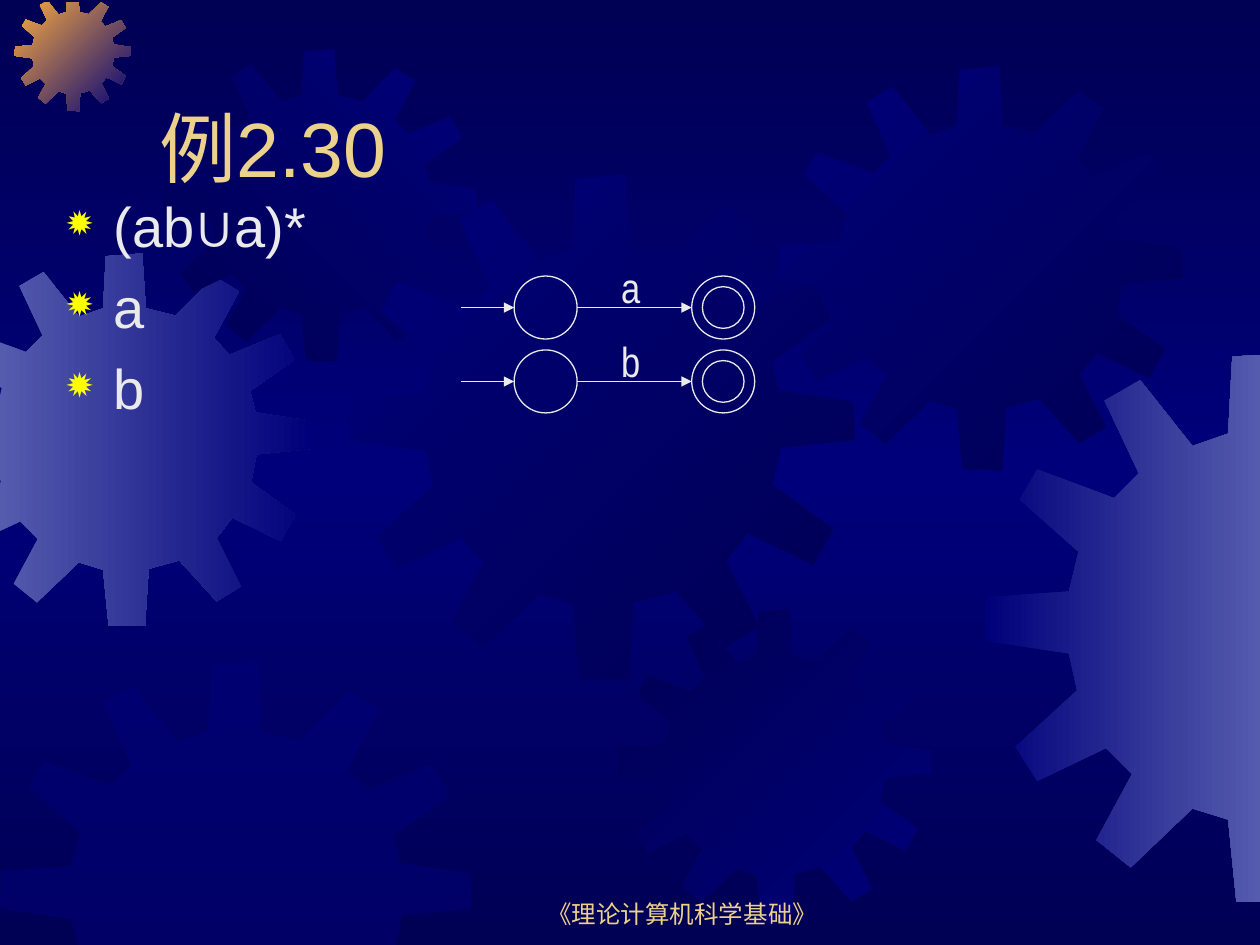
"""Lecture slide: automata for the regular expression (ab∪a)* on a gear background."""
from copy import deepcopy

from lxml import etree
from pptx import Presentation
from pptx import util as u
from pptx.dml.color import RGBColor
from pptx.enum import shapes, text
from pptx.oxml import ns

THEME = {
    "night": "000054", "navy": "00007A", "steel": "555BAD", "orange": "FCAB40",
    "gold": "EBD189", "ink": "EAEAEA", "bullet": "FFFF00",
    "font": "Arial", "label_font": "Arial Narrow",
    "title": 44, "body": 32, "label": 24, "footer": 14, "line": 0.75,
}

TITLE = "例2.30"
EXPRESSIONS = ["(ab∪a)*", "a", "b"]
FOOTER = "《理论计算机科学基础》"
AUTOMATA = [("a", 6.2), ("b", 7.69)]

PAGE_SIZE = (25.4, 19.05)
GEAR_LIMITS = [(0, 0, 1), (1, 0.05, 1), (0, 25.4, -1), (1, 19.05, -1)]
GEAR_SPAN = 401
GEAR_OUTLINE = [
    (255, 67), (223, 59), (219, 0), (180, 3), (177, 59), (151, 68), (113, 20), (87, 35),
    (112, 88), (94, 106), (38, 85), (25, 107), (68, 145), (61, 174), (1, 178), (0, 210),
    (61, 219), (67, 246), (22, 287), (38, 312), (88, 288), (107, 307), (81, 355), (106, 375),
    (151, 332), (177, 340), (183, 400), (222, 401), (226, 339), (259, 330), (299, 374), (325, 358),
    (299, 306), (316, 284), (368, 309), (384, 281), (336, 246), (342, 216), (401, 210), (400, 180),
    (341, 171), (335, 148), (383, 114), (367, 87), (313, 109), (296, 91), (323, 41), (297, 25),
]
GEARS = [
    (-1.24, 5.11, 7.52, ("steel", "navy"), 0),
    (0.3, -0.1, 2.34, ("orange", "navy"), 45),
    (3.3, 0.99, 6.3, ("night", "navy"), 315),
    (7.04, 3.53, 10.19, ("navy", "night"), 45),
    (0, 13.34, 9.5, ("navy",), 0),
    (12.47, 12.29, 6.3, ("night", "navy"), 45),
    (15.7, 1.35, 8.13, ("navy", "night"), 45),
    (19.86, 7.11, 11.1, ("navy", "steel"), 0),
]
START_X, FIRST_X, FINAL_X = 9.3, 11, 14.58
RADIUS, INNER_RADIUS = 0.635, 0.42


def color(name):
    return RGBColor.from_string(THEME[name])


def add_xml(parent, tag, **attributes):
    return etree.SubElement(parent, ns.qn(tag), attributes)


def set_gradient(fill, names, angle):
    fill.gradient()
    fill.gradient_angle = -angle % 360
    for stop, name in zip(fill.gradient_stops, names):
        stop.color.rgb = color(name)


def set_background(page):
    fill = page.background.fill
    set_gradient(fill, ("night", "navy"), 90)
    stops = next(page.element.iter(ns.qn("a:gsLst")))
    stops.append(deepcopy(stops[0]))
    for stop, position in zip(fill.gradient_stops, (0, 0.5, 1)):
        stop.position = position


def clip(points, axis, limit, side):
    kept = []
    for start, end in zip(points[-1:] + points[:-1], points):
        before, after = (side * (point[axis] - limit) for point in (start, end))
        if (before < 0) != (after < 0):
            share = before / (before - after)
            kept.append(tuple(a + share * (b - a) for a, b in zip(start, end)))
        if after >= 0:
            kept.append(end)
    return kept


def add_gear(page, left, top, size, names, angle):
    scale = size / GEAR_SPAN
    points = [(left + x * scale, top + y * scale) for x, y in GEAR_OUTLINE]
    for limit in GEAR_LIMITS:
        points = clip(points, *limit)
    points = [(u.Cm(x), u.Cm(y)) for x, y in points]
    builder = page.shapes.build_freeform(*points[0])
    builder.add_line_segments(points[1:], close=True)
    gear = builder.convert_to_shape()
    gear.shadow.inherit = False
    gear.line.fill.background()
    if len(names) > 1:
        set_gradient(gear.fill, names, angle)
    else:
        gear.fill.solid()
        gear.fill.fore_color.rgb = color(names[0])
        tint = next(gear.element.spPr.iter(ns.qn("a:srgbClr")))
        add_xml(tint, "a:alpha", val="50000")


def add_text(page, place, content, size, tone, font="font", anchor=text.MSO_ANCHOR.TOP):
    box = page.shapes.add_textbox(*map(u.Cm, place))
    frame = box.text_frame
    frame.word_wrap = True
    frame.vertical_anchor = anchor
    frame.text = content
    for para in frame.paragraphs:
        for span in para.runs:
            span.font.size = u.Pt(THEME[size])
            span.font.name = THEME[font]
            span.font.color.rgb = color(tone)
    return frame.paragraphs


def add_bullet(para):
    para.space_before = u.Pt(8)
    properties = para._p.get_or_add_pPr()
    indent = u.Cm(0.95)
    properties.set("marL", str(indent))
    properties.set("indent", str(-indent))
    add_xml(add_xml(properties, "a:buClr"), "a:srgbClr", val=THEME["bullet"])
    add_xml(properties, "a:buSzPct", val="80000")
    add_xml(properties, "a:buChar", char="✹")


def set_line(line):
    line.color.rgb = color("ink")
    line.width = u.Pt(THEME["line"])


def add_circle(page, x, y, radius):
    place = (x - radius, y - radius, 2 * radius, 2 * radius)
    circle = page.shapes.add_shape(shapes.MSO_SHAPE.OVAL, *map(u.Cm, place))
    circle.shadow.inherit = False
    circle.fill.background()
    set_line(circle.line)


def add_arrow(page, start, end, y):
    arrow = page.shapes.add_connector(
        shapes.MSO_CONNECTOR.STRAIGHT, *map(u.Cm, (start, y, end, y)))
    set_line(arrow.line)
    add_xml(arrow.line._get_or_add_ln(), "a:tailEnd", type="triangle")
    add_xml(arrow.element.spPr, "a:effectLst")


def add_automaton(page, symbol, y):
    add_circle(page, FIRST_X, y, RADIUS)
    add_arrow(page, START_X, FIRST_X - RADIUS, y)
    add_arrow(page, FIRST_X + RADIUS, FINAL_X - RADIUS, y)
    add_circle(page, FINAL_X, y, RADIUS)
    add_circle(page, FINAL_X, y, INNER_RADIUS)
    place = (12.27, y - 1.05, 1.27, 1.27)
    label = add_text(page, place, symbol, "label", "ink", "label_font")[0]
    label.space_before = u.Pt(15)


def main():
    deck = Presentation()
    deck.slide_width, deck.slide_height = map(u.Cm, PAGE_SIZE)
    page = deck.slides.add_slide(deck.slide_layouts[6])
    set_background(page)
    for gear in GEARS:
        add_gear(page, *gear)
    bottom = text.MSO_ANCHOR.BOTTOM
    footer = add_text(page, (9.73, 17.58, 8.05, 1.27), FOOTER, "footer", "gold", anchor=bottom)
    footer[0].alignment = text.PP_ALIGN.CENTER
    add_text(page, (2.97, 0.84, 21.59, 3.18), TITLE, "title", "gold", anchor=bottom)
    for para in add_text(page, (1.09, 3.73, 21.59, 6.35), "\n".join(EXPRESSIONS), "body", "ink"):
        add_bullet(para)
    for automaton in AUTOMATA:
        add_automaton(page, *automaton)
    deck.save("out.pptx")


if __name__ == "__main__":
    main()
